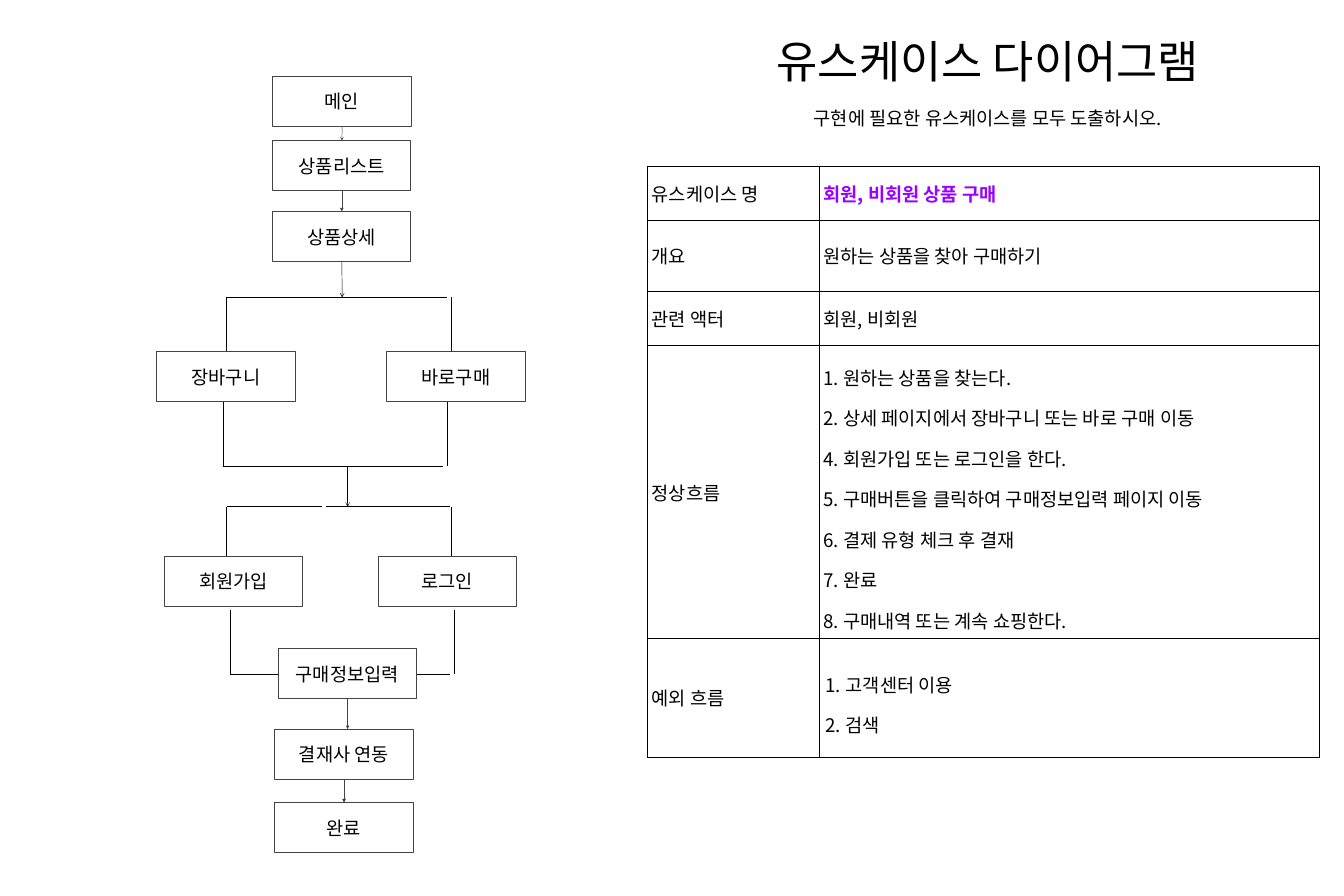
from lxml.etree import SubElement
from pptx import Presentation
from pptx.dml.color import RGBColor
from pptx.enum.shapes import MSO_CONNECTOR as LINE, MSO_SHAPE as SHAPE
from pptx.enum.text import MSO_ANCHOR as ANCHOR, MSO_AUTO_SIZE as AUTO, PP_ALIGN as ALIGN
from pptx.oxml.ns import qn
from pptx.util import Pt

COLORS = {"ink": "000000", "outline": "434343", "paper": "FFFFFF", "accent": "9900FF"}
FONT = "Noto Sans CJK KR"
BOX_SIZE = (222.5, 80.6)


def color(name):
    return RGBColor.from_string(COLORS[name])


def apply(target, values):
    for name, value in values.items():
        setattr(target, name, value)


class Sketch:
    """Holds the text style and the current page."""

    def __init__(self, page, font=FONT, size=30):
        self.page, self.font, self.size = page, font, size

    def label(self, frame, lines, tint="ink", numbered=False, size=None, bold=False, **layout):
        frame.text = "\n".join(lines)
        for para in frame.paragraphs:
            apply(para, layout)
            props = para._p.get_or_add_pPr()
            props.set("marL", str(Pt(36) if numbered else 0))
            props.set("indent", str(Pt(-33) if numbered else 0))
            if numbered:
                SubElement(props, qn("a:buAutoNum"), type="arabicPeriod")
            else:
                SubElement(props, qn("a:buNone"))
            for span in para.runs:
                apply(span.font, {"name": self.font, "size": Pt(size or self.size), "bold": bold})
                span.font.color.rgb = color(tint)
                SubElement(span._r.get_or_add_rPr(), qn("a:ea"), typeface=self.font)

    def heading(self, holder, text, place, size):
        apply(holder, dict(zip(("left", "top", "width", "height"), map(Pt, place))))
        margins = {f"margin_{side}": 0 for side in ("left", "top", "right", "bottom")}
        apply(holder.text_frame, {"word_wrap": True, "auto_size": AUTO.NONE,
                                  "vertical_anchor": ANCHOR.TOP, **margins})
        self.label(holder.text_frame, [text], size=size, alignment=ALIGN.CENTER,
                   line_spacing=1.0, space_before=Pt(0))

    def box(self, text, left, top):
        box = self.page.shapes.add_shape(SHAPE.RECTANGLE, *map(Pt, (left, top, *BOX_SIZE)))
        box.shadow.inherit = False
        box.fill.solid()
        box.fill.fore_color.rgb = color("paper")
        box.line.color.rgb = color("outline")
        box.line.width = Pt(1.5)
        apply(box.text_frame, {"word_wrap": True, "vertical_anchor": ANCHOR.MIDDLE})
        self.label(box.text_frame, [text], alignment=ALIGN.CENTER)

    def line(self, start, end, tint="ink", head=None):
        line = self.page.shapes.add_connector(LINE.STRAIGHT, *map(Pt, (*start, *end)))
        line.line.color.rgb = color(tint)
        line.line.width = Pt(0.75)
        if head:
            SubElement(line.line._get_or_add_ln(), qn("a:tailEnd"), type=head)
        SubElement(line._element.spPr, qn("a:effectLst"))

    def bracket(self, left, bar, leg_end, reach=354, gap=0):
        """A bar in two halves with a leg at each side."""
        middle, right = left + 154, left + 360.7
        self.line((left, bar), (middle, bar))
        self.line((middle + gap, bar), (left + reach, bar))
        for leg in (left, right):
            self.line((leg, bar), (leg, leg_end))

    def border(self, cell):
        props = cell._tc.get_or_add_tcPr()
        for place, side in enumerate(("lnL", "lnR", "lnT", "lnB")):
            edge = props.makeelement(qn(f"a:{side}"), {"w": str(Pt(0.75))})
            fill = SubElement(edge, qn("a:solidFill"))
            SubElement(fill, qn("a:srgbClr"), val=COLORS["ink"])
            props.insert(place, edge)

    def table(self, left, top, widths, rows):
        heights = [height for height, *_ in rows]
        table = self.page.shapes.add_table(len(rows), len(widths), *map(
            Pt, (left, top, sum(widths), sum(heights)))).table
        apply(table, {"first_row": False, "horz_banding": False})
        for column, width in zip(table.columns, widths):
            column.width = Pt(width)
        for row, (height, label, lines, style) in zip(table.rows, rows):
            row.height = Pt(height)
            for cell, content, look in zip(row.cells, ([label], lines), ({}, style)):
                apply(cell, {"vertical_anchor": ANCHOR.MIDDLE, **{
                    f"margin_{side}": Pt(7.2) for side in ("left", "top", "right", "bottom")}})
                cell.fill.background()
                self.border(cell)
                self.label(cell.text_frame, content, **look)


deck = Presentation()
deck.slide_width, deck.slide_height = Pt(2160), Pt(1440)
page = deck.slides.add_slide(deck.slide_layouts[1])
sketch = Sketch(page)

# Headings
title, subtitle = page.placeholders
sketch.heading(title, "유스케이스 다이어그램", (1055.5, 54, 1064, 110), 72)
sketch.heading(subtitle, "구현에 필요한 유스케이스를 모두 도출하시오.", (1055.5, 172, 1064, 60), 30)

# Branches of the flow
sketch.bracket(364.3, 478, 565)
sketch.bracket(358.6, 749.5, 646.6)
sketch.bracket(364.3, 814.3, 894, reach=359.3, gap=5)
sketch.bracket(370, 1083, 980)

# Steps of the flow
STEPS = [
    ("메인", 438.4, 122.4), ("상품리스트", 438, 226), ("상품상세", 438, 340),
    ("장바구니", 252, 565), ("바로구매", 621.4, 565),
    ("회원가입", 264.2, 894), ("로그인", 607.7, 894),
    ("구매정보입력", 447, 1042.6), ("결재사 연동", 441.4, 1172), ("완료", 441.4, 1290),
]
for step in STEPS:
    sketch.box(*step)

# Arrows between steps
ARROWS = [
    ((550, 203), (549.4, 226), "outline", "stealth"),
    ((549.4, 306.7), (549.4, 340), "outline", "triangle"),
    ((549.4, 421), (550, 478), "ink", "arrow"),
    ((558.7, 749.5), (558.7, 814.3), "ink", "arrow"),
    ((558.7, 1123.2), (558.7, 1172), "outline", "triangle"),
    ((553, 1252.8), (553, 1290), "outline", "triangle"),
]
for arrow in ARROWS:
    sketch.line(*arrow)

# Use case table
NORMAL_FLOW = [
    "1. 원하는 상품을 찾는다.",
    "2. 상세 페이지에서 장바구니 또는 바로 구매 이동",
    "4. 회원가입 또는 로그인을 한다.",
    "5. 구매버튼을 클릭하여 구매정보입력 페이지 이동",
    "6. 결제 유형 체크 후 결재",
    "7. 완료",
    "8. 구매내역 또는 계속 쇼핑한다.",
]
sketch.table(1040.4, 266.4, (275.8, 804.2), [
    (88, "유스케이스 명", ["회원, 비회원 상품 구매"], {"tint": "accent", "bold": True}),
    (113, "개요", ["원하는 상품을 찾아 구매하기"], {}),
    (88, "관련 액터", ["회원, 비회원"], {}),
    (430.6, "정상흐름", NORMAL_FLOW, {"line_spacing": 1.5}),
    (190.8, "예외 흐름", ["고객센터 이용", "검색"], {"line_spacing": 1.5, "numbered": True}),
])

deck.save("out.pptx")
